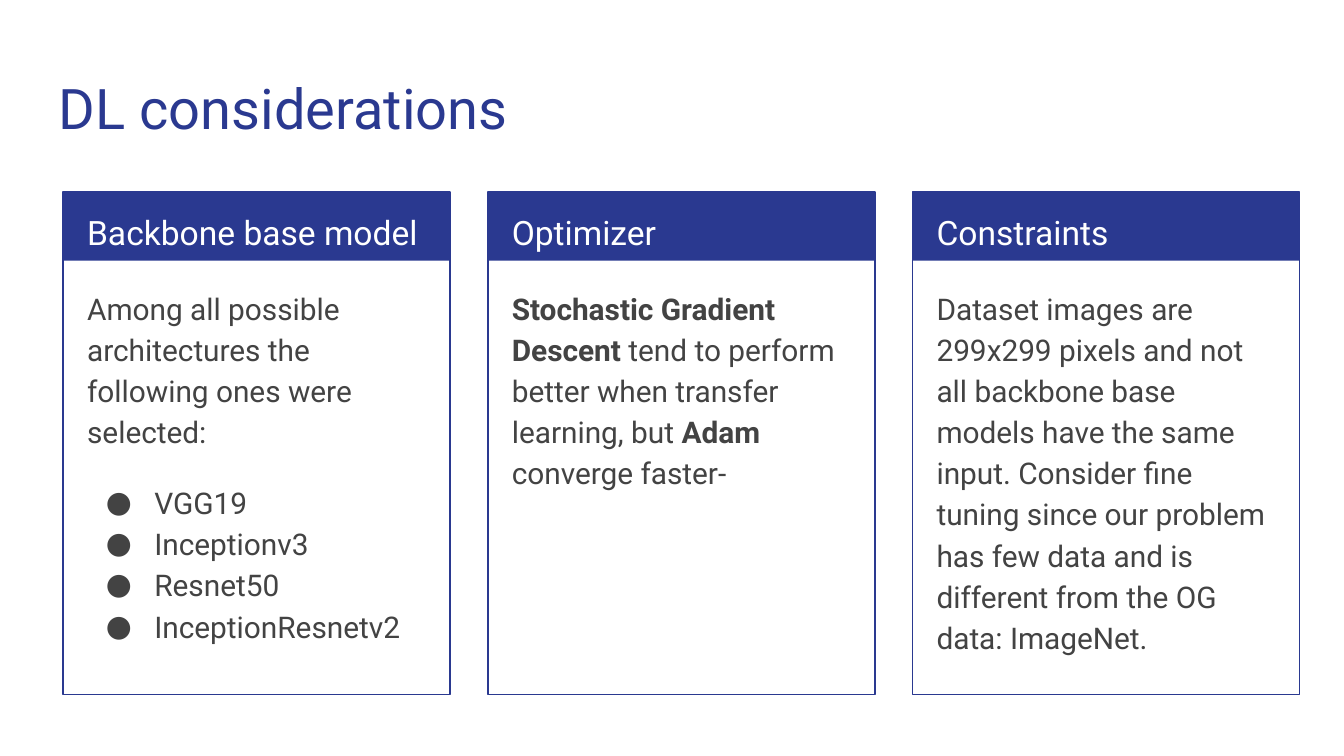
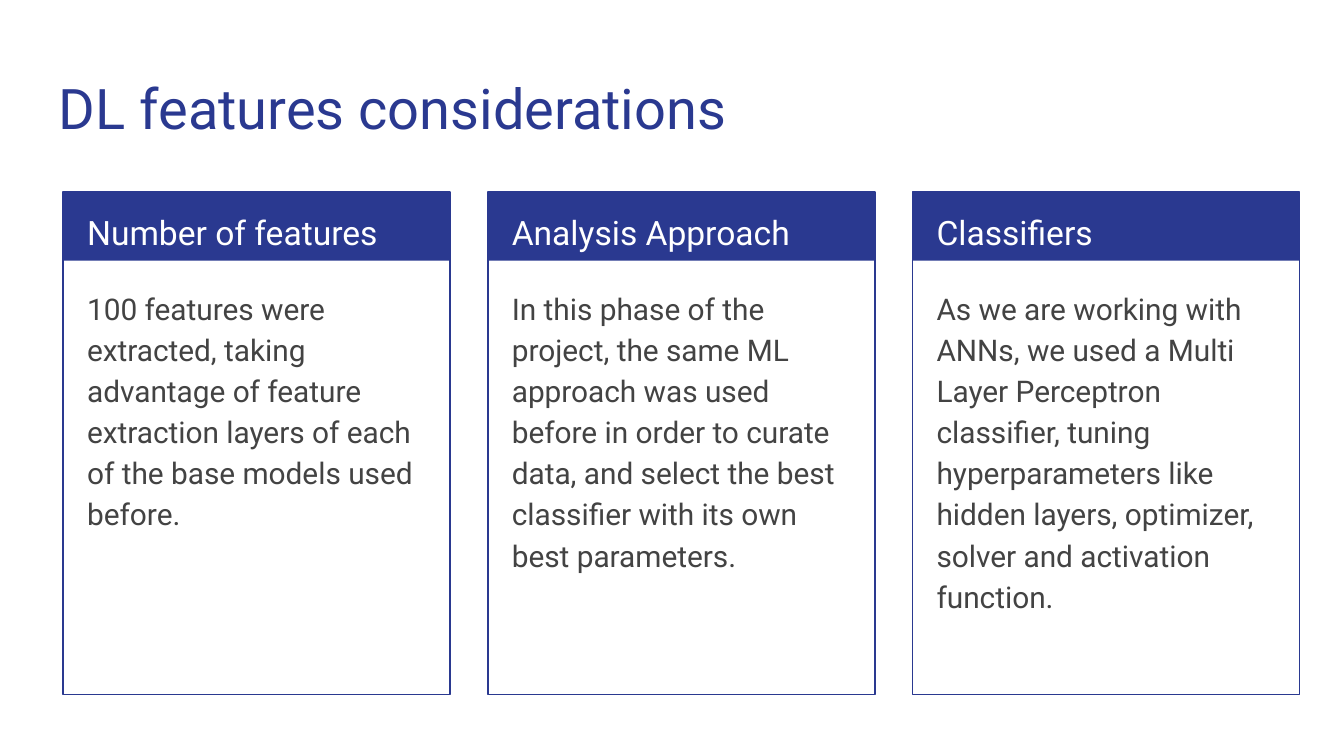
from lxml.etree import SubElement
from pptx import Presentation
from pptx.dml.color import RGBColor
from pptx.enum.shapes import MSO_SHAPE
from pptx.enum.text import MSO_ANCHOR
from pptx.oxml.ns import qn
from pptx.util import Inches, Pt

# Shared look
NAVY = RGBColor(0x2A, 0x39, 0x90)
GRAY = RGBColor(0x43, 0x43, 0x43)
WHITE = RGBColor(0xFF, 0xFF, 0xFF)
TITLE_FONT = {"name": "Roboto", "size": Pt(30)}
HEADING_FONT = {"name": "Roboto", "size": Pt(18)}
BODY_FONT = {"name": "Roboto", "size": Pt(16)}
FRAME_FORMAT = {"word_wrap": True, "vertical_anchor": MSO_ANCHOR.TOP,
                "margin_left": Inches(0.1), "margin_right": Inches(0.1),
                "margin_top": Inches(0.1), "margin_bottom": Inches(0.1)}
LINES = {"line_spacing": 1.15}
CLOSING = {**LINES, "space_after": Pt(16)}
FIRST_BULLET = {**LINES, "space_before": Pt(16)}

# Card grid
CARD_LEFT, CARD_TOP, CARD_PITCH = 0.47, 1.43, 3.16
CARD_WIDTH, CARD_HEIGHT, BAND_HEIGHT = 2.88, 3.74, 0.51

# Content: each card is a heading and its body; ** encloses bold words
BACKBONES = ["VGG19", "Inceptionv3", "Resnet50", "InceptionResnetv2"]
SLIDES = [
    ("DL considerations", [
        ("Backbone base model",
         "Among all possible architectures the following ones were selected:",
         BACKBONES),
        ("Optimizer",
         "**Stochastic Gradient Descent** tend to perform better when transfer "
         "learning, but **Adam** converge faster-", []),
        ("Constraints",
         "Dataset images are 299x299 pixels and not all backbone base models "
         "have the same input. Consider fine tuning since our problem has few "
         "data and is different from the OG data: ImageNet.", []),
    ]),
    ("DL features considerations", [
        ("Number of features",
         "100 features were extracted, taking advantage of feature extraction "
         "layers of each of the base models used before.", []),
        ("Analysis Approach",
         "In this phase of the project, the same ML approach was used before "
         "in order to curate data, and select the best classifier with its own "
         "best parameters.", []),
        ("Classifiers",
         "As we are working with ANNs, we used a Multi Layer Perceptron "
         "classifier, tuning hyperparameters like hidden layers, optimizer, "
         "solver and activation function.", []),
    ]),
]


def apply_format(target, values):
    for attribute, value in values.items():
        setattr(target, attribute, value)


def add_text_frame(slide, left, top, width, height):
    box = slide.shapes.add_textbox(
        Inches(left), Inches(top), Inches(width), Inches(height))
    apply_format(box.text_frame, FRAME_FORMAT)
    return box.text_frame


def write(paragraph, text, font, color, spacing):
    """Fill a paragraph; words between ** marks become bold."""
    apply_format(paragraph, spacing)
    for index, part in enumerate(text.split("**")):
        if part:
            run = paragraph.add_run()
            run.text = part
            apply_format(run.font, {**font, "bold": index % 2 == 1})
            run.font.color.rgb = color


def add_bullet(paragraph):
    properties = paragraph._p.get_or_add_pPr()
    properties.set("marL", str(Inches(0.5)))
    properties.set("indent", str(Inches(-0.36)))
    bullet_color = SubElement(properties, qn("a:buClr"))
    SubElement(bullet_color, qn("a:srgbClr")).set("val", str(GRAY))
    SubElement(properties, qn("a:buSzPts")).set("val", "1600")
    SubElement(properties, qn("a:buFont")).set("typeface", BODY_FONT["name"])
    SubElement(properties, qn("a:buChar")).set("char", "●")


def add_title(slide, title):
    frame = add_text_frame(slide, 0.34, 0.45, 9.32, 0.66)
    write(frame.paragraphs[0], title, TITLE_FONT, NAVY, {})


def add_panel(slide, left):
    """Heading band and outline, grouped."""
    panel = slide.shapes.add_group_shape()
    band, outline = [
        panel.shapes.add_shape(MSO_SHAPE.RECTANGLE, Inches(left), Inches(CARD_TOP),
                               Inches(CARD_WIDTH), Inches(height))
        for height in (BAND_HEIGHT, CARD_HEIGHT)]
    band.shadow.inherit = outline.shadow.inherit = False
    band.fill.solid()
    band.fill.fore_color.rgb = NAVY
    band.line.fill.background()
    outline.fill.background()
    outline.line.color.rgb = NAVY
    outline.line.width = Pt(0.75)


def add_card(slide, left, heading, statement, bullets):
    add_panel(slide, left)
    heading_frame = add_text_frame(slide, left + 0.08, CARD_TOP, 2.73, 0.5)
    write(heading_frame.paragraphs[0], heading, HEADING_FONT, WHITE, LINES)

    body = add_text_frame(slide, left + 0.08, 2.02, 2.71, 3.06)
    write(body.paragraphs[0], statement, BODY_FONT, GRAY,
          LINES if bullets else CLOSING)
    for index, bullet in enumerate(bullets):
        paragraph = body.add_paragraph()
        write(paragraph, bullet, BODY_FONT, GRAY, LINES if index else FIRST_BULLET)
        add_bullet(paragraph)


def main():
    deck = Presentation()
    deck.slide_width = Inches(10)
    deck.slide_height = deck.slide_width * 9 // 16
    blank = deck.slide_layouts[6]
    for title, cards in SLIDES:
        slide = deck.slides.add_slide(blank)
        add_title(slide, title)
        for column, card in enumerate(cards):
            add_card(slide, CARD_LEFT + column * CARD_PITCH, *card)
    deck.save("out.pptx")


if __name__ == "__main__":
    main()
